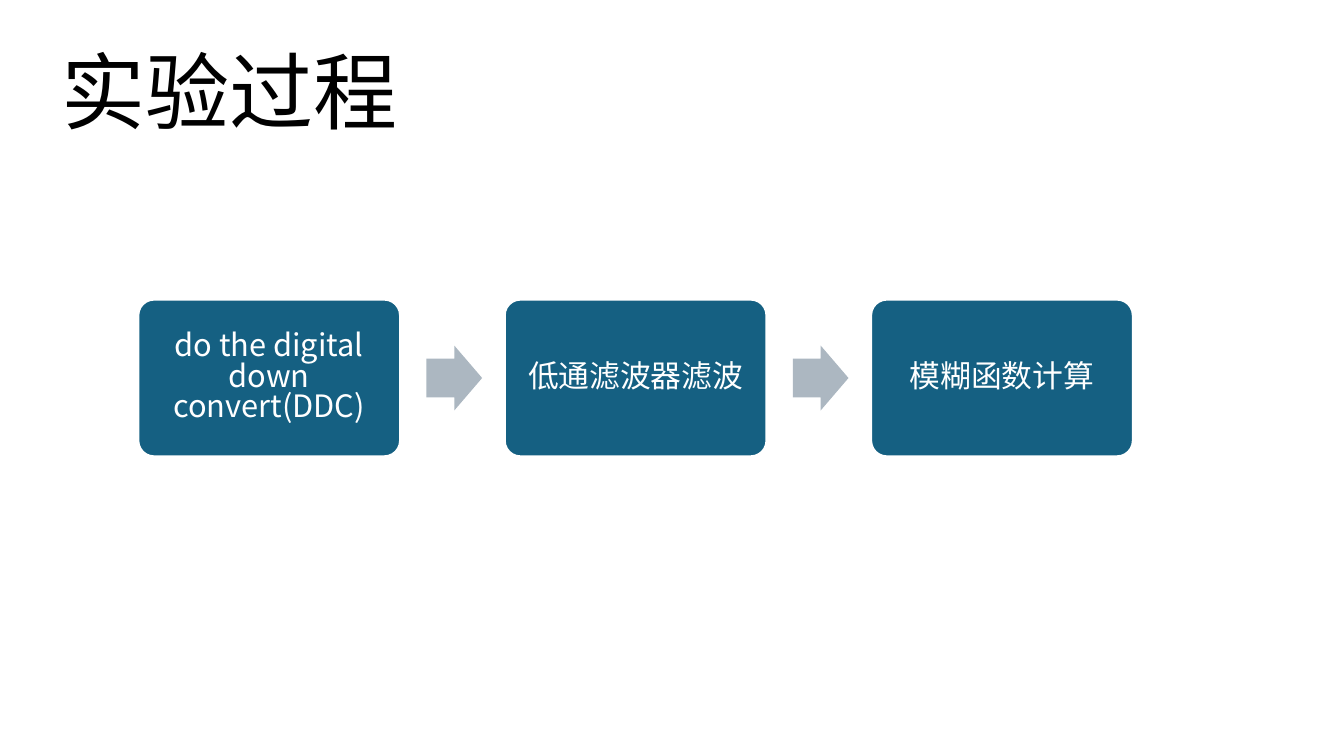
from lxml import etree
from pptx import Presentation
from pptx.dml.color import RGBColor
from pptx.enum.shapes import MSO_SHAPE
from pptx.enum.text import MSO_ANCHOR, PP_ALIGN
from pptx.oxml.ns import qn
from pptx.util import Pt

BLACK = RGBColor(0x00, 0x00, 0x00)
WHITE = RGBColor(0xFF, 0xFF, 0xFF)
TEAL = RGBColor(0x15, 0x60, 0x82)
GREY = RGBColor(0xAC, 0xB7, 0xC1)
ROUNDED = MSO_SHAPE.ROUNDED_RECTANGLE
ARROW = MSO_SHAPE.RIGHT_ARROW
MIDDLE, BOTTOM = MSO_ANCHOR.MIDDLE, MSO_ANCHOR.BOTTOM
CENTER = PP_ALIGN.CENTER

STEPS = ["do the digital down convert(DDC)", "低通滤波器滤波", "模糊函数计算"]
STEP_LEFT, STEP_TOP, STEP_WIDTH, STEP_HEIGHT = 98.8, 214, 187, 112
STEP_PITCH = 261.7
ARROW_OFFSET, ARROW_WIDTH, ARROW_HEIGHT = 205.8, 39.8, 46.4


def write_text(frame, text, *, size, color, font, anchor, spacing):
    frame.word_wrap = True
    frame.vertical_anchor = anchor
    para = frame.paragraphs[0]
    para.alignment = CENTER
    para.line_spacing = spacing
    span = para.add_run()
    span.text = text
    span.font.size = Pt(size)
    span.font.color.rgb = color
    span.font.name = font
    east_asian = etree.SubElement(span.font._element, qn("a:ea"))
    east_asian.set("typeface", font)


class ProcessSlide:
    font = "Noto Sans CJK SC"

    def __init__(self, deck):
        self.page = deck.slides.add_slide(deck.slide_layouts[6])

    def title(self, text, left, top, width, height):
        box = self.page.shapes.add_textbox(Pt(left), Pt(top), Pt(width), Pt(height))
        write_text(box.text_frame, text, size=60, color=BLACK, font=self.font,
                   anchor=BOTTOM, spacing=0.9)

    def shape(self, kind, left, top, width, height, fill, adjustments):
        shape = self.page.shapes.add_shape(kind, Pt(left), Pt(top), Pt(width), Pt(height))
        shape.shadow.inherit = False
        shape.fill.solid()
        shape.fill.fore_color.rgb = fill
        shape.line.fill.background()
        for index, value in enumerate(adjustments):
            shape.adjustments[index] = value
        return shape

    def step(self, text, left):
        box = self.shape(ROUNDED, left, STEP_TOP, STEP_WIDTH, STEP_HEIGHT, TEAL, [0.1])
        box.line.color.rgb = WHITE
        box.line.width = Pt(1.5)
        frame = box.text_frame
        frame.margin_left = frame.margin_right = Pt(6.6)
        frame.margin_top = frame.margin_bottom = Pt(6.6)
        write_text(frame, text, size=22, color=WHITE, font=self.font,
                   anchor=MIDDLE, spacing=0.83)

    def arrow(self, left):
        top = STEP_TOP + (STEP_HEIGHT - ARROW_HEIGHT) / 2
        self.shape(ARROW, left, top, ARROW_WIDTH, ARROW_HEIGHT, GREY, [0.6, 0.5])


def main():
    deck = Presentation()
    deck.slide_width, deck.slide_height = Pt(960), Pt(540)
    slide = ProcessSlide(deck)
    for index, text in enumerate(STEPS):
        left = STEP_LEFT + index * STEP_PITCH
        slide.step(text, left)
        if index < len(STEPS) - 1:
            slide.arrow(left + ARROW_OFFSET)
    slide.title("实验过程", -250, 0, 828, 104.4)
    deck.save("out.pptx")


if __name__ == "__main__":
    main()
